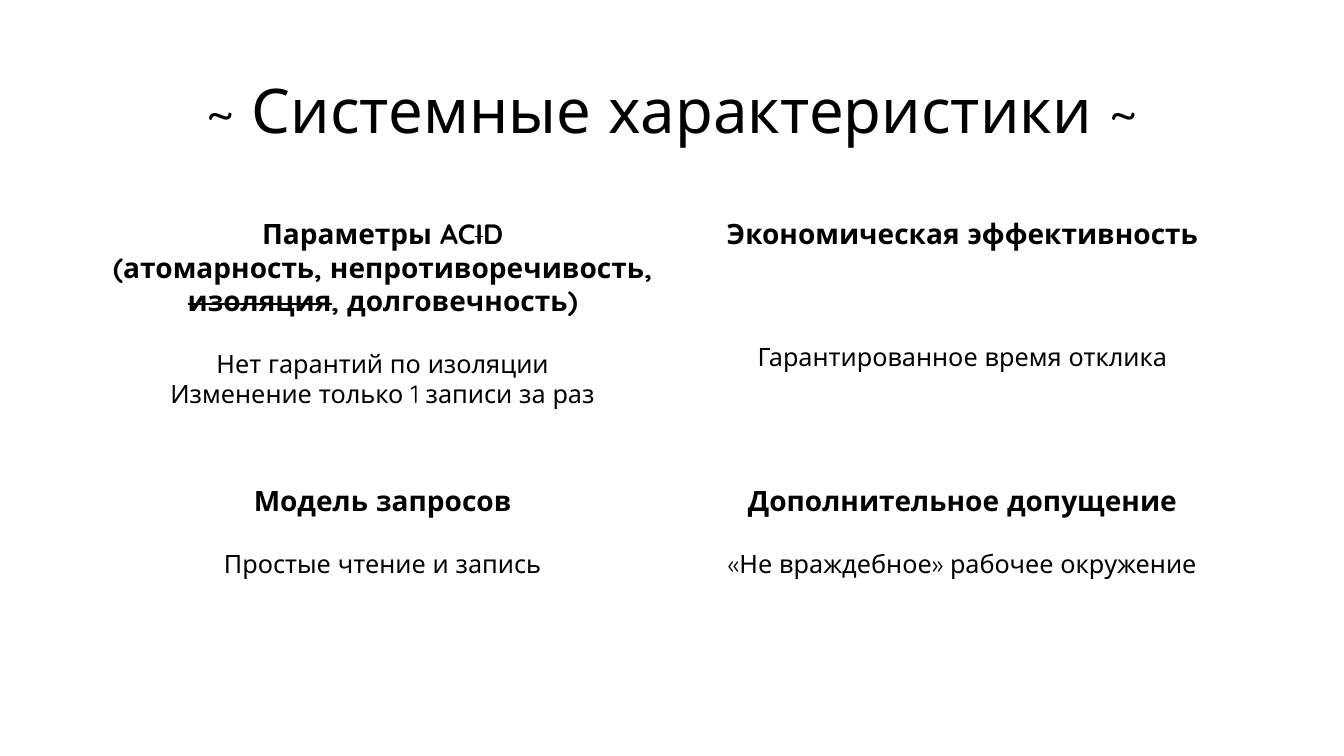
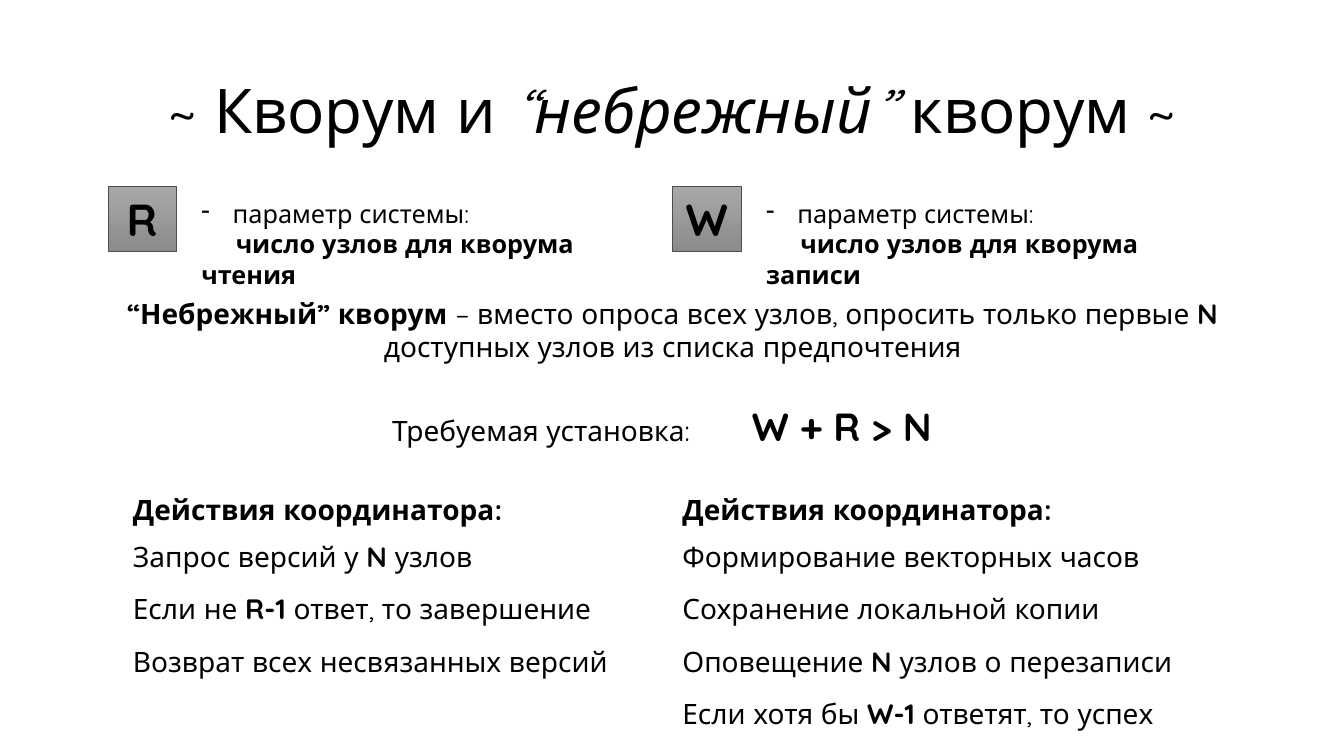
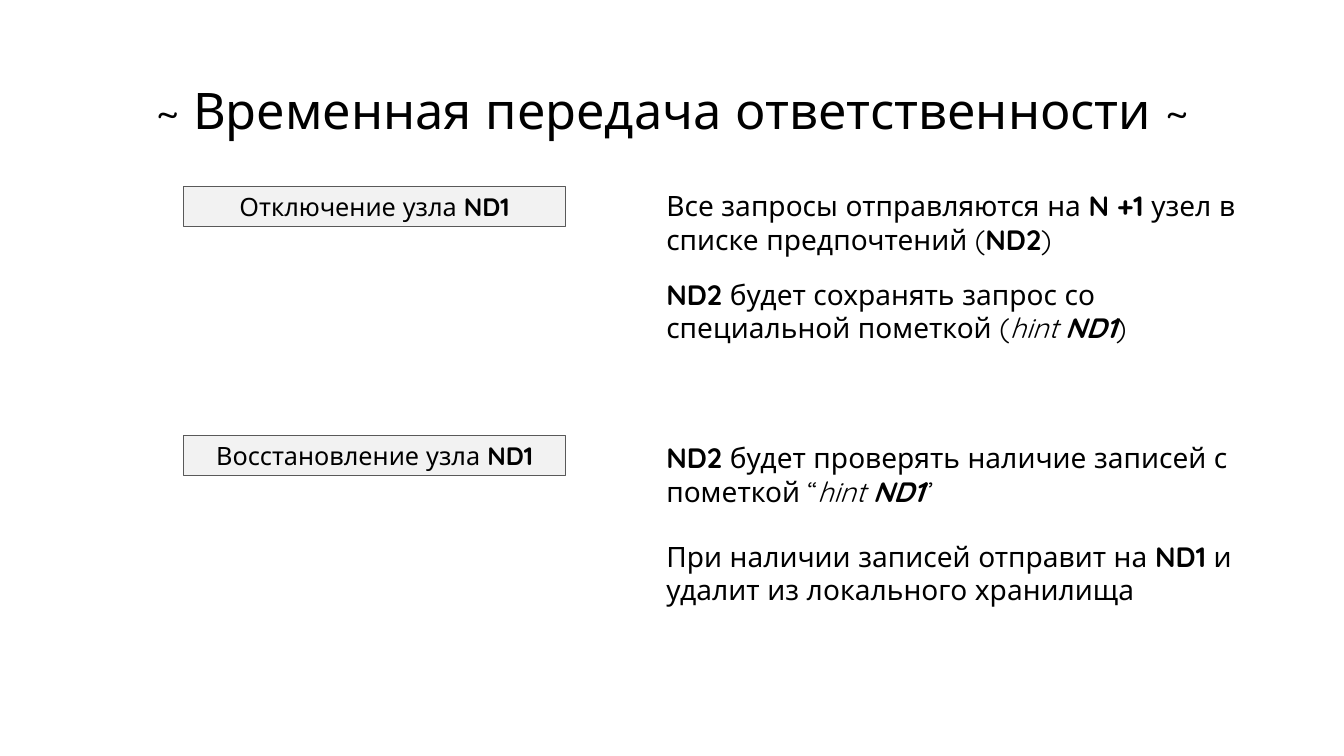
from pptx import Presentation
from pptx.dml.color import RGBColor
from pptx.enum.shapes import MSO_SHAPE as SHAPE
from pptx.enum.text import MSO_ANCHOR as ANCHOR, MSO_AUTO_SIZE as FIT, PP_ALIGN as ALIGN
from pptx.oxml.ns import qn
from pptx.util import Emu, Pt
from lxml.etree import SubElement

FONT = "Quicksand"
BLACK, WHITE, PALE = "000000", "FFFFFF", "F2F2F2"
KEY_FILL, KEY_LINE, LABEL_LINE = ("A8A8A8", "8B8B8B"), "4D4D4D", "595959"
BOLD, ITALIC = {"bold": True}, {"italic": True}
BOLD_ITALIC = {**BOLD, **ITALIC}
STRUCK = {**BOLD, "strike": True}
CENTER = {"alignment": ALIGN.CENTER}


def px(n):
    return Emu(n * 9144)


def color(value):
    return RGBColor.from_string(value)


def para(*runs, size=20, indent=None, bullet=None, tab=None, **fmt):
    return {"runs": runs, "size": size, "indent": indent,
            "bullet": bullet, "tab": tab, "fmt": fmt}


def add_run(p, run, size):
    text, style = (run, {}) if isinstance(run, str) else run
    r = p.add_run()
    r.text = text
    values = {"name": FONT, "size": Pt(size), **style}
    if values.pop("strike", False):
        r._r.get_or_add_rPr().set("strike", "sngStrike")
    for key, value in values.items():
        setattr(r.font, key, value)
    r.font.color.rgb = color(BLACK)


def add_para(p, data):
    pPr = p._p.get_or_add_pPr()
    if data["indent"]:
        margin, first = data["indent"]
        pPr.set("marL", str(px(margin)))
        pPr.set("indent", str(px(first)))
    if data["bullet"]:
        SubElement(pPr, qn("a:buFontTx"))
        SubElement(pPr, qn("a:buChar"), char=data["bullet"])
    if data["tab"]:
        tabs = SubElement(pPr, qn("a:tabLst"))
        SubElement(tabs, qn("a:tab"), pos=str(px(data["tab"])), algn="l")
    for key, value in data["fmt"].items():
        setattr(p, key, value)
    for run in data["runs"]:
        add_run(p, run, data["size"])


def fill_text(sp, paras, anchor=ANCHOR.TOP, fit=FIT.SHAPE_TO_FIT_TEXT):
    tf = sp.text_frame
    values = {"word_wrap": True, "vertical_anchor": anchor, "auto_size": fit}
    for key, value in values.items():
        setattr(tf, key, value)
    for i, data in enumerate(paras):
        add_para(tf.add_paragraph() if i else tf.paragraphs[0], data)


def text(s, box, *paras, **frame):
    fill_text(s.shapes.add_textbox(*map(px, box)), paras, **frame)


def panel(s, box, *paras, fill=WHITE, line=None):
    sp = s.shapes.add_shape(SHAPE.RECTANGLE, *map(px, box))
    sp.shadow.inherit = False
    if isinstance(fill, tuple):
        sp.fill.gradient()
        sp.fill.gradient_angle = 270
        for stop, value in zip(sp.fill.gradient_stops, fill):
            stop.color.rgb = color(value)
    else:
        sp.fill.solid()
        sp.fill.fore_color.rgb = color(fill)
    if line:
        sp.line.color.rgb = color(line)
        sp.line.width = Pt(0.5)
    else:
        sp.line.fill.background()
    fill_text(sp, paras)


def new_slide(prs, *title, size=44):
    s = prs.slides.add_slide(prs.slide_layouts[6])
    text(s, (92, 40, 1150, 145), para(*title, size=size, line_spacing=0.9, **CENTER),
         anchor=ANCHOR.MIDDLE, fit=FIT.NONE)
    return s


def heading(*runs):
    return para(*[(r, BOLD) if isinstance(r, str) else r for r in runs], **CENTER)


def body(line, gap=0):
    return para(line, size=18, space_before=Pt(gap), **CENTER)


def quorum_key(s, left, letter, meaning):
    panel(s, (left, 185, 68, 64), para((letter, BOLD), size=32, **CENTER),
          fill=KEY_FILL, line=KEY_LINE)
    text(s, (left + 83, 192, 477, 71),
         para("параметр системы:", size=18, indent=(31, -31), bullet="-"),
         para((meaning, BOLD), size=18, indent=(0, 34)))


def coordinator_steps(s, left, *steps):
    text(s, (left, 484, 560, 44), para(("Действия координатора:", BOLD)))
    for i, step in enumerate(steps):
        text(s, (left, 530 + 52 * i, 560, 44), para(*step))


def node_event(s, top, event):
    panel(s, (182, top, 379, 40), para(event, ("ND1", BOLD), size=18, **CENTER),
          fill=PALE, line=LABEL_LINE)


def system_slide(prs):
    s = new_slide(prs, "~ Системные характеристики ~")
    left, right, width = 92, 667, 575
    panel(s, (left, 210, width, 202),
          heading("Параметры AC", ("I", STRUCK), "D"),
          heading("(атомарность, непротиворечивость, ", ("изоляция", STRUCK),
                  ", долговечность)"),
          body("Нет гарантий по изоляции", 22),
          body("Изменение только 1 записи за раз"))
    for x, y, height, name, detail, gap in (
            (right, 210, 165, "Экономическая эффективность",
             "Гарантированное время отклика", 65),
            (left, 475, 104, "Модель запросов", "Простые чтение и запись", 22),
            (right, 475, 104, "Дополнительное допущение",
             "«Не враждебное» рабочее окружение", 22)):
        panel(s, (x, y, width, height), heading(name), body(detail, gap))


def quorum_slide(prs):
    s = new_slide(prs, "~ Кворум и ", ("“небрежный” ", ITALIC), "кворум ~")
    quorum_key(s, 107, "R", "число узлов для кворума чтения")
    quorum_key(s, 667, "W", "число узлов для кворума записи")
    text(s, (107, 289, 1120, 77),
         para(("“Небрежный” кворум ", BOLD),
              "– вместо опроса всех узлов, опросить только первые ", ("N ", BOLD),
              "доступных узлов из списка предпочтения", **CENTER))
    text(s, (379, 394, 700, 57),
         para("Требуемая установка:\t", ("W + R > N", {**BOLD, "size": Pt(28)}), tab=357))
    coordinator_steps(s, 122,
                      ["Запрос версий у ", ("N ", BOLD), "узлов"],
                      ["Если не ", ("R-1 ", BOLD), "ответ, то завершение"],
                      ["Возврат всех несвязанных версий"])
    coordinator_steps(s, 667,
                      ["Формирование векторных часов"],
                      ["Сохранение локальной копии"],
                      ["Оповещение ", ("N ", BOLD), "узлов о перезаписи"],
                      ["Если хотя бы ", ("W-1", BOLD), " ответят, то успех"])


def handoff_slide(prs):
    s = new_slide(prs, "~ Временная передача ответственности ~", size=36)
    node_event(s, 185, "Отключение узла ")
    node_event(s, 432, "Восстановление узла ")
    hint = [("hint ", ITALIC), ("ND1", BOLD_ITALIC)]
    for top, runs in (
            (182, ["Все запросы отправляются на ", ("N +1 ", BOLD),
                   "узел в списке предпочтений (", ("ND2", BOLD), ")"]),
            (270, [("ND2 ", BOLD), "будет сохранять запрос со специальной пометкой (",
                   *hint, ")"]),
            (432, [("ND2 ", BOLD), "будет проверять наличие записей с пометкой “",
                   *hint, "”"]),
            (530, ["При наличии записей отправит на ", ("ND1", BOLD),
                   " и удалит из локального хранилища"])):
        text(s, (651, top, 591, 77), para(*runs))


def main():
    prs = Presentation()
    prs.slide_width, prs.slide_height = px(1333), px(750)
    system_slide(prs)
    quorum_slide(prs)
    handoff_slide(prs)
    prs.save("out.pptx")


if __name__ == "__main__":
    main()
